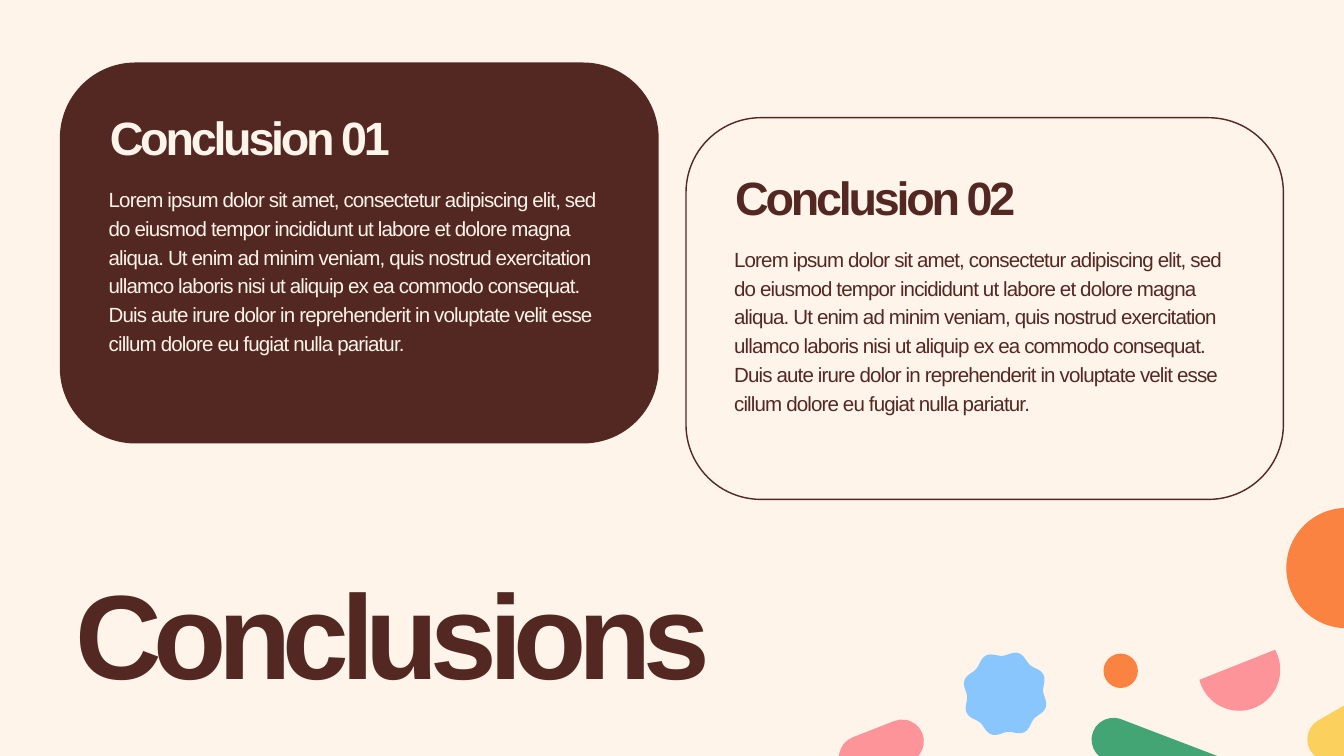
"""Build the Conclusions slide: two text cards, a title and confetti shapes."""
from dataclasses import dataclass
from math import cos, radians, sin
from typing import Optional

from pptx import Presentation
from pptx import util as u
from pptx.dml.color import RGBColor
from pptx.enum import shapes, text

Cm, Pt = u.Cm, u.Pt
MSO = shapes.MSO_SHAPE


@dataclass(frozen=True)
class Style:
    size: float
    leading: float
    tracking: int
    bold: bool = True


@dataclass(frozen=True)
class Theme:
    font: str = "Arial"
    cream: str = "FEF4EA"
    brown: str = "532822"
    blue: str = "8AC6FE"
    orange: str = "FB8342"
    pink: str = "FC9499"
    green: str = "43A574"
    yellow: str = "FBD05C"
    title: Style = Style(128.4, 179.7, -900)
    heading: Style = Style(50, 70, -350)
    body: Style = Style(22, 30.8, -90, False)


@dataclass(frozen=True)
class Card:
    heading: str
    left: float
    top: float
    height: float
    pad_top: float
    fill: Optional[str]
    ink: str


@dataclass(frozen=True)
class Confetti:
    kind: MSO
    left: float
    top: float
    width: float
    height: float
    color: str
    rotation: float = 0


T = Theme()
CARD_WIDTH, CARD_RADIUS = 22.58, 2.83
BODY = (
    "Lorem ipsum dolor sit amet, consectetur adipiscing elit, sed do eiusmod tempor "
    "incididunt ut labore et dolore magna aliqua. Ut enim ad minim veniam, quis nostrud "
    "exercitation ullamco laboris nisi ut aliquip ex ea commodo consequat. Duis aute irure "
    "dolor in reprehenderit in voluptate velit esse cillum dolore eu fugiat nulla pariatur."
)
CARDS = [
    Card("Conclusion 01", 2.29, 2.39, 14.35, 1.37, T.brown, T.cream),
    Card("Conclusion 02", 25.93, 4.45, 14.43, 1.57, None, T.brown),
]
CONFETTI = [
    Confetti(MSO.OVAL, 48.62, 19.2, 4.55, 4.55, T.orange),
    Confetti(MSO.OVAL, 41.71, 24.71, 1.3, 1.3, T.orange),
    Confetti(MSO.ROUNDED_RECTANGLE, 31.65, 27.51, 3.33, 1.65, T.pink, -21.4),
    Confetti(MSO.ROUNDED_RECTANGLE, 41.1, 27.99, 6.43, 1.65, T.green, 20.9),
    Confetti(MSO.ROUNDED_RECTANGLE, 49.33, 26.82, 2.87, 1.65, T.yellow, -30),
]


def paint(sp, fill: Optional[str], line: Optional[str] = None) -> None:
    """Apply a flat fill and an optional outline."""
    sp.shadow.inherit = False
    if fill:
        sp.fill.solid()
        sp.fill.fore_color.rgb = RGBColor.from_string(fill)
    else:
        sp.fill.background()
    if line:
        sp.line.color.rgb = RGBColor.from_string(line)
        sp.line.width = Pt(1.5)
    else:
        sp.line.fill.background()


def add_text(s, words: str, left: float, top: float, width: float, height: float,
             style: Style, color: str) -> None:
    """Add a one-paragraph text box without insets."""
    tf = s.shapes.add_textbox(Cm(left), Cm(top), Cm(width), Cm(height)).text_frame
    tf.word_wrap = True
    tf.auto_size = text.MSO_AUTO_SIZE.SHAPE_TO_FIT_TEXT
    tf.margin_left = tf.margin_top = tf.margin_right = tf.margin_bottom = 0
    p = tf.paragraphs[0]
    p.text = words
    p.line_spacing = Pt(style.leading)
    p.font.name = T.font
    p.font.size = Pt(style.size)
    p.font.bold = style.bold
    p.font.color.rgb = RGBColor.from_string(color)
    p._p.get_or_add_pPr().get_or_add_defRPr().set("spc", str(style.tracking))


def add_card(s, card: Card) -> None:
    """Draw a rounded card with its heading and body."""
    sp = s.shapes.add_shape(MSO.ROUNDED_RECTANGLE, Cm(card.left), Cm(card.top),
                            Cm(CARD_WIDTH), Cm(card.height))
    sp.adjustments[0] = CARD_RADIUS / card.height
    paint(sp, card.fill, T.brown)
    top = card.top + card.pad_top
    add_text(s, card.heading, card.left + 1.86, top, 18.1, 2.39, T.heading, card.ink)
    add_text(s, BODY, card.left + 1.82, top + 3.16, 18.95, 7.54, T.body, card.ink)


def add_confetti(s, item: Confetti) -> None:
    """Draw a dot or a round-ended bar."""
    sp = s.shapes.add_shape(item.kind, Cm(item.left), Cm(item.top),
                            Cm(item.width), Cm(item.height))
    sp.rotation = item.rotation
    if item.kind == MSO.ROUNDED_RECTANGLE:
        sp.adjustments[0] = 0.5
    paint(sp, item.color)


def add_radial(s, x: float, y: float, radius: float, start: float, sweep: float,
               color: str, lobes: int = 0, wave: float = 0) -> None:
    """Draw a closed arc whose radius may ripple from a lobe at the start."""
    points = []
    for step in range(121):
        turn = sweep * step / 120
        reach = radius + wave * cos(radians(lobes * turn))
        angle = radians(start + turn)
        points.append((Cm(x + reach * cos(angle)), Cm(y + reach * sin(angle))))
    builder = s.shapes.build_freeform(*points[0])
    builder.add_line_segments(points[1:], close=True)
    paint(builder.convert_to_shape(), color)


def main() -> None:
    """Build and save the slide."""
    prs = Presentation()
    prs.slide_width, prs.slide_height = Cm(50.8), Cm(28.58)
    s = prs.slides.add_slide(prs.slide_layouts[6])
    s.background.fill.solid()
    s.background.fill.fore_color.rgb = RGBColor.from_string(T.cream)
    add_text(s, "Conclusions", 2.84, 20.27, 31.55, 6.07, T.title, T.brown)
    for card in CARDS:
        add_card(s, card)
    add_radial(s, 37.99, 26.23, 1.53, 18.4, 360, T.blue, lobes=8, wave=0.09)
    for item in CONFETTI:
        add_confetti(s, item)
    add_radial(s, 46.84, 25.32, 1.55, -29.2, 195, T.pink)
    prs.save("out.pptx")


if __name__ == "__main__":
    main()
